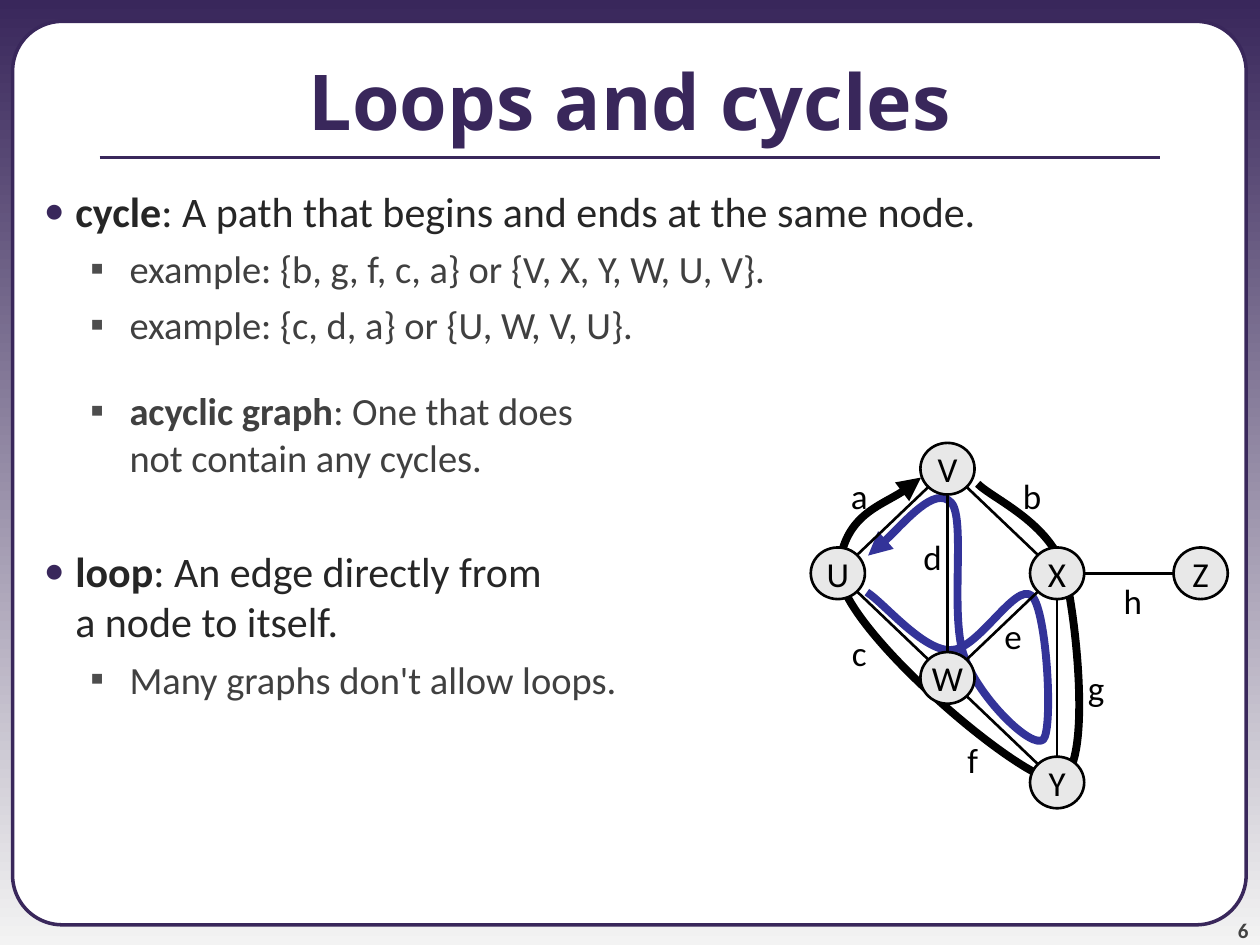
from itertools import chain
from math import hypot

from lxml.etree import SubElement as Sub
from pptx import Presentation
from pptx.dml.color import RGBColor
from pptx.enum.shapes import MSO_CONNECTOR as Conn, MSO_SHAPE as Shape
from pptx.enum.text import MSO_ANCHOR as Anchor, MSO_AUTO_SIZE as Auto, PP_ALIGN as Align
from pptx.oxml.ns import qn
from pptx.util import Inches, Pt

PLUM, BLACK, BLUE, WHITE, GREY = "39275B", "000000", "333399", "FFFFFF", "E8E8E8"
FONT = "Calibri"


def color(code):
    return RGBColor.from_string(code)


def write(para, text, size=20, tone=BLACK, bold=False, font=FONT, align=None):
    """Add text to a paragraph; a newline becomes a line break."""
    if align is not None:
        para.alignment = align
    for i, part in enumerate(text.split("\n")):
        if i:
            para.add_line_break()
        run = para.add_run()
        run.text = part
        run.font.size, run.font.bold, run.font.name = Pt(size), bold, font
        run.font.color.rgb = color(tone)


def bullet(para, mark, tone, left, hang):
    props = para._p.get_or_add_pPr()
    props.set("marL", str(Inches(left)))
    props.set("indent", str(-Inches(hang)))
    Sub(Sub(props, qn("a:buClr")), qn("a:srgbClr")).set("val", tone)
    Sub(props, qn("a:buFont")).set("typeface", FONT)
    Sub(props, qn("a:buChar")).set("char", mark)


class Page:
    """The current slide on a grid of 10 columns by 7.5 rows."""

    def __init__(self, deck):
        self.slide = deck.slides.add_slide(deck.slide_layouts[5])
        self.shapes = self.slide.shapes
        self.unit = deck.slide_width / 10

    def grid(self, *cells):
        return [round(c * self.unit) for c in cells]

    def back(self, top, low):
        fill = self.slide.background.fill
        fill.gradient()
        fill.gradient_angle = 270
        for stop, place, tone in zip(fill.gradient_stops, (0, 1), (top, low)):
            stop.position, stop.color.rgb = place, color(tone)

    def stroke(self, item, tone, width):
        item.line.color.rgb, item.line.width = color(tone), Pt(width)

    def shape(self, kind, box, fill, tone, width):
        item = self.shapes.add_shape(kind, *self.grid(*box))
        item.shadow.inherit = False
        item.fill.solid()
        item.fill.fore_color.rgb = color(fill)
        self.stroke(item, tone, width)
        return item

    def line(self, start, end, tone=BLACK, width=1.5):
        item = self.shapes.add_connector(Conn.STRAIGHT, *self.grid(*start, *end))
        self.stroke(item, tone, width)
        Sub(item._element.spPr, qn("a:effectLst"))

    def curve(self, start, curves, tone, arrow):
        """Draw a chain of cubic curves, each given as x1 y1 x2 y2 x3 y3."""
        flat = self.grid(*chain(*curves))
        form = self.shapes.build_freeform(*self.grid(*start))
        form.add_line_segments(list(zip(flat[::2], flat[1::2])), close=False)
        item = form.convert_to_shape()
        # Every three straight segments become one cubic curve
        legs = list(item._element.iter(qn("a:lnTo")))
        for i in range(0, len(legs), 3):
            cubic = Sub(legs[i].getparent(), qn("a:cubicBezTo"))
            for leg in legs[i:i + 3]:
                cubic.append(leg[0])
                leg.getparent().remove(leg)
        item.shadow.inherit = False
        item.fill.background()
        self.stroke(item, tone, 4.5)
        Sub(item.line._get_or_add_ln(), qn(arrow)).set("type", "triangle")

    def title(self, text, box):
        item = self.shapes.title
        item.left, item.top, item.width, item.height = self.grid(*box)
        frame = item.text_frame
        frame.vertical_anchor, frame.auto_size = Anchor.MIDDLE, Auto.NONE
        write(frame.paragraphs[0], text, 44, PLUM, True, "Noto Sans", Align.CENTER)
        self.shapes._spTree.append(item._element)  # in front of the panel

    def text(self, box, wrap=True):
        frame = self.shapes.add_textbox(*self.grid(*box)).text_frame
        frame.word_wrap = wrap
        return frame

    def label(self, text, x, y):
        frame = self.text((x - 0.17, y - 0.22, 0.34, 0.44), wrap=False)
        write(frame.paragraphs[0], text, align=Align.CENTER)

    def node(self, name, x, y):
        item = self.shape(Shape.OVAL, (x - RX, y - RY, 2 * RX, 2 * RY), GREY, BLACK, 1.5)
        frame = item.text_frame
        frame.word_wrap, frame.vertical_anchor = False, Anchor.MIDDLE
        write(frame.paragraphs[0], name, align=Align.CENTER)

    def edge(self, a, b):
        """Join two nodes from rim to rim."""
        dx, dy = b[0] - a[0], b[1] - a[1]
        cut = 1 / hypot(dx / RX, dy / RY)
        self.line((a[0] + cut * dx, a[1] + cut * dy), (b[0] - cut * dx, b[1] - cut * dy))

    def list(self, rows, box):
        frame = self.text(box)
        for i, (level, gap, bold, plain) in enumerate(rows):
            para = frame.add_paragraph() if i else frame.paragraphs[0]
            para.level = level
            para.space_before = Pt(gap)
            mark, dot, left, hang, size, tone = LEVELS[level]
            bullet(para, mark, dot, left, hang)
            if bold:
                write(para, bold, size, tone, True)
            write(para, plain, size, tone)


# Bullet mark and colour, indents, text size and colour of each level
LEVELS = [("•", PLUM, 0.5, 0.25, 24, "262626"),
          ("▪", "4D4D4D", 0.93, 0.31, 22, "404040")]

# Level, space before, bold lead, plain rest
ROWS = [(0, 0, "cycle", ": A path that begins and ends at the same node."),
        (1, 5.5, "", "example: {b, g, f, c, a} or {V, X, Y, W, U, V}."),
        (1, 5.5, "", "example: {c, d, a} or {U, W, V, U}."),
        (1, 23, "acyclic graph", ": One that does\nnot contain any cycles."),
        (0, 37.5, "loop", ": An edge directly from\na node to itself."),
        (1, 5.5, "", "Many graphs don't allow loops.")]

# Graph: node radii, node places in steps of 0.87 by 0.83, edges and labels
RX, RY = 0.215, 0.205
STEPS = {"X": (2, 1), "U": (0, 1), "V": (1, 0), "W": (1, 2), "Z": (3.31, 1), "Y": (2, 3)}
NODES = {n: (6.65 + 0.87 * c, 3.72 + 0.83 * r) for n, (c, r) in STEPS.items()}
EDGES = ["VU", "WU", "WX", "XZ", "VX", "VW", "WY", "XY"]
LABELS = {"a": (6.82, 3.94), "c": (6.82, 5.18), "b": (8.19, 3.94), "e": (8.04, 5.05),
          "d": (7.4, 4.42), "f": (7.72, 6.03), "g": (8.7, 5.46), "h": (8.99, 4.77)}
OUTER = [(7.88, 3.96, 8.34, 4.15, 8.45, 4.54), (8.55, 4.93, 8.68, 6.2, 8.38, 6.19),
         (8.09, 6.19, 6.62, 4.94, 6.66, 4.51), (6.7, 4.09, 7.17, 3.94, 7.31, 3.79)]
INNER = [(7, 4.34, 7.42, 3.85, 7.55, 3.99), (7.67, 4.12, 7.53, 4.92, 7.66, 5.23),
         (7.78, 5.55, 8.19, 5.95, 8.28, 5.87), (8.36, 5.79, 8.31, 4.85, 8.19, 4.73),
         (8.06, 4.61, 7.76, 5.17, 7.54, 5.16), (7.32, 5.16, 7.02, 4.79, 6.88, 4.7)]


def main():
    deck = Presentation()
    deck.slide_width, deck.slide_height = Inches(10), Inches(7.5)
    page = Page(deck)

    # Frame, page number and title
    page.back(PLUM, "F3F3F3")
    panel = page.shape(Shape.ROUNDED_RECTANGLE, (0.1, 0.17, 9.79, 7.17), WHITE, PLUM, 2)
    panel.adjustments[0] = 0.055
    foot = page.text((9.08, 7.08, 0.83, 0.4))
    foot.margin_left = foot.margin_right = foot.margin_top = foot.margin_bottom = 0
    foot.vertical_anchor = Anchor.BOTTOM
    write(foot.paragraphs[0], "6", 12, "424242", True, align=Align.RIGHT)
    page.line((0.79, 1.25), (9.21, 1.25), PLUM, 2.25)
    page.title("Loops and cycles", (0, 0.17, 10, 1.25))

    # Definitions
    page.list(ROWS, (0, 1.42, 10, 6.08))

    # Graph with its two cycles
    page.curve((7.76, 3.84), OUTER, BLACK, "a:tailEnd")
    page.curve((6.89, 4.41), INNER, BLUE, "a:headEnd")
    for name, spot in NODES.items():
        page.node(name, *spot)
    for a, b in EDGES:
        page.edge(NODES[a], NODES[b])
    for name, spot in LABELS.items():
        page.label(name, *spot)

    deck.save("out.pptx")


if __name__ == "__main__":
    main()
